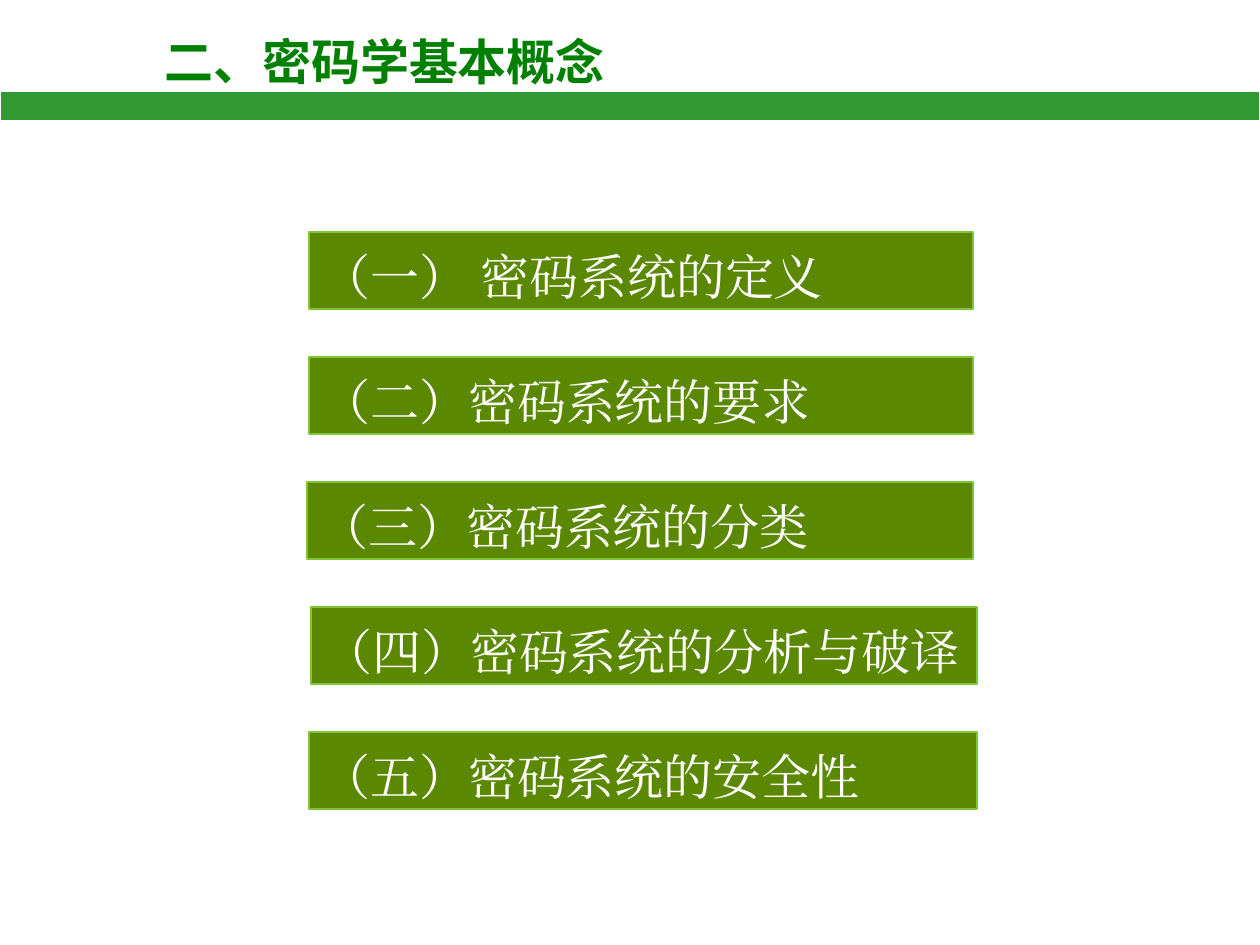
from dataclasses import dataclass

from lxml import etree
from pptx import Presentation
from pptx.dml.color import RGBColor
from pptx.enum.shapes import MSO_SHAPE
from pptx.enum.text import MSO_ANCHOR, PP_ALIGN
from pptx.oxml.ns import qn
from pptx.util import Pt

RECTANGLE = MSO_SHAPE.RECTANGLE
MIDDLE = MSO_ANCHOR.MIDDLE
LEFT = PP_ALIGN.LEFT

EMU_PER_PX = 914400 // 126
COLORS = {
    "title": "008000",
    "bar": "339933",
    "white": "FFFFFF",
    "topic": "5A8800",
    "topic_line": "80C535",
}
TITLE_FORMAT = {"size": Pt(28), "bold": True, "name": "Noto Sans CJK SC"}
TOPIC_FORMAT = {"size": Pt(28), "bold": False, "name": "Times New Roman"}
TOPIC_TOP, TOPIC_STEP, TOPIC_HEIGHT = 232, 125, 77


@dataclass
class Topic:
    text: str
    left: int
    width: int


TOPICS = [
    Topic("（一） 密码系统的定义", 309, 664),
    Topic("（二）密码系统的要求", 309, 664),
    Topic("（三）密码系统的分类", 307, 666),
    Topic("（四）密码系统的分析与破译", 311, 666),
    Topic("（五）密码系统的安全性", 309, 668),
]


def px(length: int) -> int:
    return length * EMU_PER_PX


def color(name: str) -> RGBColor:
    return RGBColor.from_string(COLORS[name])


def add_bar(page, bounds: tuple[int, ...], fill: str, line: str):
    """Add a flat rectangle with a thin outline."""
    box = page.shapes.add_shape(RECTANGLE, *map(px, bounds))
    box.shadow.inherit = False
    box.fill.solid()
    box.fill.fore_color.rgb = color(fill)
    box.line.color.rgb = color(line)
    box.line.width = Pt(0.75)
    return box


def write(box, text: str, text_format: dict, text_color: str):
    """Write one left-aligned line, centred vertically in its box."""
    frame = box.text_frame
    frame.vertical_anchor = MIDDLE
    para = frame.paragraphs[0]
    para.alignment = LEFT
    span = para.add_run()
    span.text = text
    for attribute, value in text_format.items():
        setattr(span.font, attribute, value)
    span.font.color.rgb = color(text_color)
    # Chinese characters take the East Asian typeface
    properties = span.font._element if hasattr(span.font, "_element") else span._r.get_or_add_rPr()
    etree.SubElement(properties, qn("a:ea")).set("typeface", text_format["name"])
    return para


def add_topic(page, topic: Topic, row: int) -> None:
    top = TOPIC_TOP + row * TOPIC_STEP
    box = add_bar(page, (topic.left, top, topic.width, TOPIC_HEIGHT), "topic", "topic_line")
    box.text_frame.word_wrap = False
    para = write(box, topic.text, TOPIC_FORMAT, "white")
    para.line_spacing = 1.2


def main() -> None:
    deck = Presentation()
    deck.slide_width, deck.slide_height = px(1260), px(945)
    page = deck.slides.add_slide(deck.slide_layouts[6])

    # Heading and the band below it
    title = page.shapes.add_textbox(*map(px, (152, 25, 563, 72)))
    title.text_frame.word_wrap = True
    write(title, "二、密码学基本概念", TITLE_FORMAT, "title")
    add_bar(page, (0, 91, 1260, 30), "bar", "white")

    # Topic list
    for row, topic in enumerate(TOPICS):
        add_topic(page, topic, row)

    deck.save("out.pptx")


if __name__ == "__main__":
    main()
